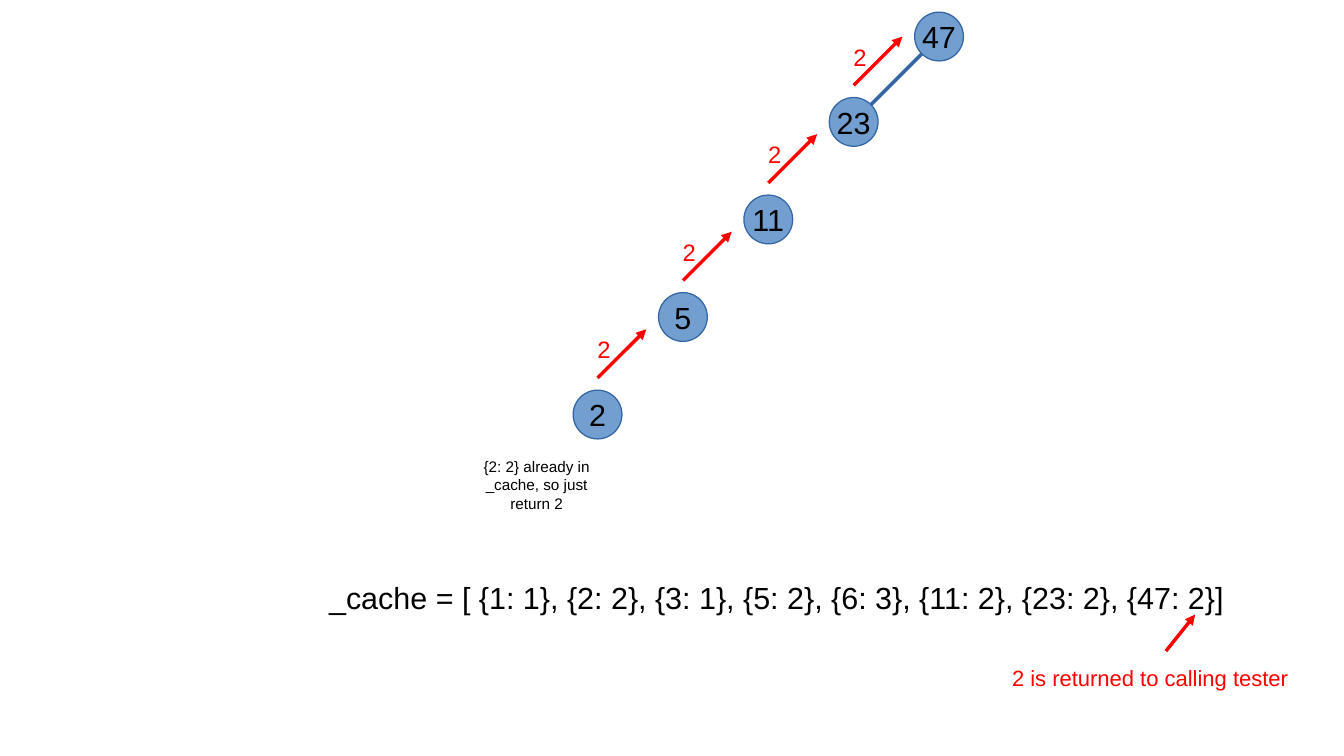
"""Build a slide showing a cached result returned up a chain of recursive calls."""
from dataclasses import dataclass

from lxml import etree
from pptx import Presentation
from pptx import util as u
from pptx.dml import color
from pptx.enum import shapes, text
from pptx.oxml import ns


@dataclass(frozen=True)
class Theme:
    font: str = "Arial"
    ink: color.RGBColor = color.RGBColor(0x00, 0x00, 0x00)
    accent: color.RGBColor = color.RGBColor(0xFF, 0x00, 0x00)
    node_fill: color.RGBColor = color.RGBColor(0x72, 0x9F, 0xCF)
    node_line: color.RGBColor = color.RGBColor(0x34, 0x65, 0xA4)
    large: int = 18
    label: int = 14
    caption: int = 13
    note: int = 9


theme = Theme()

presentation = Presentation()
presentation.slide_width = u.Pt(793.44)
presentation.slide_height = u.Pt(446.4)
slide = presentation.slides.add_slide(presentation.slide_layouts[6])


def write(shape, words, size, ink, align=text.PP_ALIGN.LEFT, wrap=True):
    frame = shape.text_frame
    frame.word_wrap = wrap
    paragraph = frame.paragraphs[0]
    paragraph.alignment = align
    run = paragraph.add_run()
    run.text = words
    run.font.name = theme.font
    run.font.size = u.Pt(size)
    run.font.color.rgb = ink


def draw_line(start, end, ink, arrow=True):
    points = [u.Pt(value) for value in (*start, *end)]
    connector = slide.shapes.add_connector(shapes.MSO_CONNECTOR.STRAIGHT, *points)
    connector.line.color.rgb = ink
    connector.line.width = u.Pt(0)
    if arrow:
        outline = connector.line._get_or_add_ln()
        etree.SubElement(outline, ns.qn("a:tailEnd"), type="triangle")
    etree.SubElement(connector._element.spPr, ns.qn("a:effectLst"))


diameter = 28.8
first_left = 540
step_left = 50.4
call_tops = {"47": 7.2, "23": 57.6, "11": 115.2, "5": 172.8, "2": 230.4}

draw_line((514.08, 61.92), (544.32, 31.68), theme.node_line, arrow=False)

for index, (number, top) in enumerate(call_tops.items()):
    left = first_left - index * step_left
    node = slide.shapes.add_shape(
        shapes.MSO_SHAPE.OVAL, u.Pt(left), u.Pt(top), u.Pt(diameter), u.Pt(diameter))
    node.shadow.inherit = False
    node.fill.solid()
    node.fill.fore_color.rgb = theme.node_fill
    node.line.color.rgb = theme.node_line
    node.line.width = u.Pt(0)
    node.text_frame.vertical_anchor = text.MSO_ANCHOR.MIDDLE
    write(node, number, theme.large, theme.ink, text.PP_ALIGN.CENTER, wrap=False)
    if index > 0:
        center = left + diameter / 2
        draw_line((center, top - 7.2), (center + diameter, top - 36), theme.accent)
        returned = slide.shapes.add_textbox(
            u.Pt(left + 7.2), u.Pt(top - 36), u.Pt(24.48), u.Pt(34.56))
        write(returned, "2", theme.label, theme.accent)

captions = [
    ("{2: 2} already in _cache, so just return 2",
     (273.6, 266.4, 86.4, 72), theme.note, theme.ink, text.PP_ALIGN.CENTER),
    ("_cache = [ {1: 1}, {2: 2}, {3: 1}, {5: 2}, {6: 3}, {11: 2}, {23: 2}, {47: 2}]",
     (187.2, 338.4, 547.2, 47.52), theme.large, theme.ink, text.PP_ALIGN.LEFT),
    ("2 is returned to calling tester",
     (590.4, 388.8, 180, 21.6), theme.caption, theme.accent, text.PP_ALIGN.LEFT),
]
for words, box, size, ink, align in captions:
    caption = slide.shapes.add_textbox(*[u.Pt(value) for value in box])
    write(caption, words, size, ink, align)

draw_line((688.32, 384.48), (705.6, 362.88), theme.accent)

presentation.save("out.pptx")
